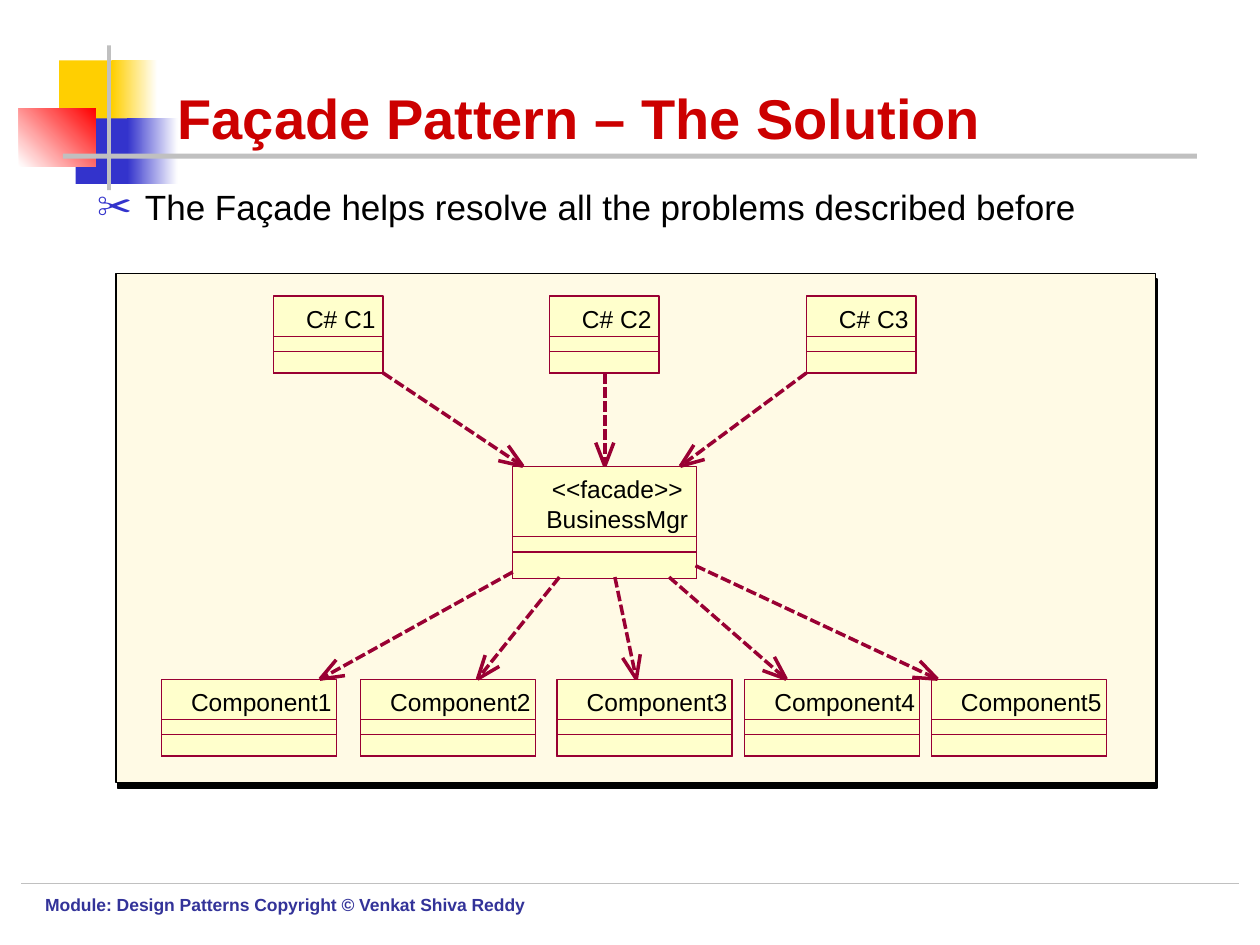
import math
from collections import namedtuple
from lxml import etree
from pptx import Presentation
from pptx.dml.color import RGBColor
from pptx.enum.dml import MSO_LINE
from pptx.enum.shapes import MSO_CONNECTOR, MSO_SHAPE
from pptx.enum.text import MSO_ANCHOR, MSO_AUTO_SIZE, PP_ALIGN
from pptx.oxml import parse_xml
from pptx.oxml.ns import nsdecls, qn
from pptx.util import Inches, Pt

RECTANGLE = MSO_SHAPE.RECTANGLE
STRAIGHT = MSO_CONNECTOR.STRAIGHT
DASHED = MSO_LINE.SQUARE_DOT
TOP, BOTTOM = MSO_ANCHOR.TOP, MSO_ANCHOR.BOTTOM
LEFT, CENTER, JUSTIFY = PP_ALIGN.LEFT, PP_ALIGN.CENTER, PP_ALIGN.JUSTIFY
NO_AUTOFIT = MSO_AUTO_SIZE.NONE

COLORS = {
    "yellow": "FFCF01", "blue": "3333CC", "red": "FF0000", "white": "FFFFFF",
    "gray": "C0C0C0", "heading": "CC0000", "text": "000000", "footer": "333399",
    "panel": "FFFAE5", "class": "FFFFCC", "outline": "990033",
}
Box = namedtuple("Box", "left top width height")

prs = Presentation()
prs.slide_width, prs.slide_height = Inches(10), Inches(7.5)
COLUMN, ROW = prs.slide_width / 10, prs.slide_height / 7.5


def color(name):
    return RGBColor.from_string(COLORS[name])


def apply(target, **values):
    for name, value in values.items():
        setattr(target, name, value)


def grid(box):
    return [round(size * unit) for size, unit in zip(box, (COLUMN, ROW) * 2)]


def inside(box, left, top, width, height):
    return Box(box.left + left, box.top + top, width, height)


def rectangle(shapes, box, fill=None, outline=None, weight=0):
    shape = shapes.add_shape(RECTANGLE, *grid(box))
    shape.shadow.inherit = False
    if fill:
        shape.fill.solid()
        shape.fill.fore_color.rgb = color(fill)
    else:
        shape.fill.background()
    if outline:
        shape.line.color.rgb = color(outline)
        shape.line.width = Pt(weight)
    else:
        shape.line.fill.background()
    return shape


def line(shapes, start, end, hue, weight=0, dash=None):
    connector = shapes.add_connector(STRAIGHT, *grid((*start, *end)))
    connector.line.color.rgb = color(hue)
    apply(connector.line, width=Pt(weight), dash_style=dash)
    etree.SubElement(connector.element.spPr, qn("a:effectLst"))


def write(frame, words, size, hue, align=LEFT, bold=False, **layout):
    apply(frame, auto_size=NO_AUTOFIT, **layout)
    paragraph = frame.paragraphs[0]
    apply(paragraph, alignment=align, space_before=Pt(0))
    run = paragraph.add_run()
    run.text = words
    apply(run.font, name="Arial", size=Pt(size), bold=bold)
    run.font.color.rgb = color(hue)
    return paragraph


def place(placeholder, box):
    placeholder.element.getparent().append(placeholder.element)
    apply(placeholder, **dict(zip(Box._fields, grid(box))))
    return placeholder.text_frame


def emblem(shapes, box):
    tiles = [
        ((0.32, 0.12, 0.48, 0.52), "yellow", None, 0),
        ((0.74, 0.12, 0.36, 0.52), "yellow", "white", 0),
        ((0.45, 0.58, 0.46, 0.52), "blue", None, 0),
        ((0.86, 0.58, 0.40, 0.52), "blue", "white", 0),
        ((0, 0.5, 0.61, 0.46), "white", "red", 45),
        ((0.7, 0, 0.03, box.height), "gray", None, 0),
        ((0.35, 0.86, box.width - 0.35, 0.04), "gray", None, 0),
    ]
    for area, first, last, angle in tiles:
        tile = rectangle(shapes, inside(box, *area), first)
        if last:
            tile.fill.gradient()
            tile.fill.gradient_angle = angle
            for stop, hue in zip(tile.fill.gradient_stops, (first, last)):
                stop.color.rgb = color(hue)


def heading(slide, box):
    write(place(slide.shapes.title, box), "Façade Pattern – The Solution",
          32, "heading", bold=True, vertical_anchor=BOTTOM, word_wrap=True)


def statement(slide, box):
    frame = place(slide.placeholders[1], box)
    paragraph = write(frame, "The Façade helps resolve all the problems described before",
                      20, "text", JUSTIFY, vertical_anchor=TOP, word_wrap=True)
    properties = paragraph._p.get_or_add_pPr()
    properties.set("marL", str(Inches(0.38)))
    properties.set("indent", str(-Inches(0.38)))
    properties.append(parse_xml(
        f'<a:buClr {nsdecls("a")}><a:srgbClr val="{COLORS["blue"]}"/></a:buClr>'))
    properties.append(parse_xml(f'<a:buChar {nsdecls("a")} char="✂"/>'))


def class_box(shapes, box, labels, header):
    rectangle(shapes, box, "class", "outline")
    for row, label in enumerate(labels):
        area = inside(box, 0.23, 0.06 + 0.24 * row, box.width - 0.26, 0.23)
        frame = shapes.add_textbox(*grid(area)).text_frame
        write(frame, label, 14, "text", CENTER, word_wrap=False,
              margin_left=0, margin_right=0, margin_top=0, margin_bottom=0)
    for top in (header, header + 0.12):
        rectangle(shapes, inside(box, 0, top, box.width, box.height - top),
                  outline="outline")


def dependency(shapes, start, end, barb=0.2, spread=21):
    line(shapes, start, end, "outline", dash=DASHED)
    back = math.atan2(start[1] - end[1], start[0] - end[0])
    for turn in (-math.radians(spread), math.radians(spread)):
        tip = (end[0] + barb * math.cos(back + turn),
               end[1] + barb * math.sin(back + turn))
        line(shapes, end, tip, "outline")


def diagram(slide, box):
    shapes = slide.shapes.add_group_shape().shapes
    panel = rectangle(shapes, box, "panel", "text", 1)
    effects = panel.element.spPr.find(qn("a:effectLst"))
    effects.append(parse_xml(
        f'<a:outerShdw {nsdecls("a")} blurRad="0" dist="{Pt(3.2)}" dir="{72 * 60000}" '
        f'algn="ctr" rotWithShape="0"><a:srgbClr val="{COLORS["text"]}"/></a:outerShdw>'))

    component_top, client_top, facade_top = 3.22, 0.18, 1.53
    for number, left in enumerate((0.36, 1.94, 3.5, 4.99, 6.47), 1):
        class_box(shapes, inside(box, left, component_top, 1.39, 0.61),
                  [f"Component{number}"], 0.32)
    for number, left in enumerate((1.25, 3.44, 5.48), 1):
        class_box(shapes, inside(box, left, client_top, 0.87, 0.61),
                  [f"C# C{number}"], 0.32)
    class_box(shapes, inside(box, 3.15, facade_top, 1.46, 0.89),
              ["<<facade>>", "BusinessMgr"], 0.56)

    links = [((2.12, 0.79), 3.23, facade_top), ((3.88, 0.79), 3.88, facade_top),
             ((5.48, 0.79), 4.48, facade_top), ((3.15, 2.37), 1.62, component_top),
             ((3.52, 2.41), 2.87, component_top), ((3.96, 2.41), 4.13, component_top),
             ((4.39, 2.41), 5.32, component_top), ((4.6, 2.32), 6.52, component_top)]
    for (left, top), end_left, end_top in links:
        dependency(shapes, (box.left + left, box.top + top),
                   (box.left + end_left, box.top + end_top))


def footer(shapes, box):
    line(shapes, (box.left, box.top), (box.left + box.width, box.top), "gray", 0.25)
    area = inside(box, 0.09, 0.04, 4.24, 0.4)
    write(shapes.add_textbox(*grid(area)).text_frame,
          "Module: Design Patterns Copyright © Venkat Shiva Reddy",
          10, "footer", bold=True, word_wrap=True)


def main():
    slide = prs.slides.add_slide(prs.slide_layouts[1])
    emblem(slide.shapes, Box(0.15, 0.36, 9.35, 1.15))
    heading(slide, Box(1.31, 0.25, 8.52, 1))
    statement(slide, Box(0.67, 1.42, 8.75, 5.58))
    footer(slide.shapes, Box(0.17, 7.01, 9.66, 0.49))
    diagram(slide, Box(0.92, 2.17, 8.25, 4.04))
    prs.save("out.pptx")


if __name__ == "__main__":
    main()
